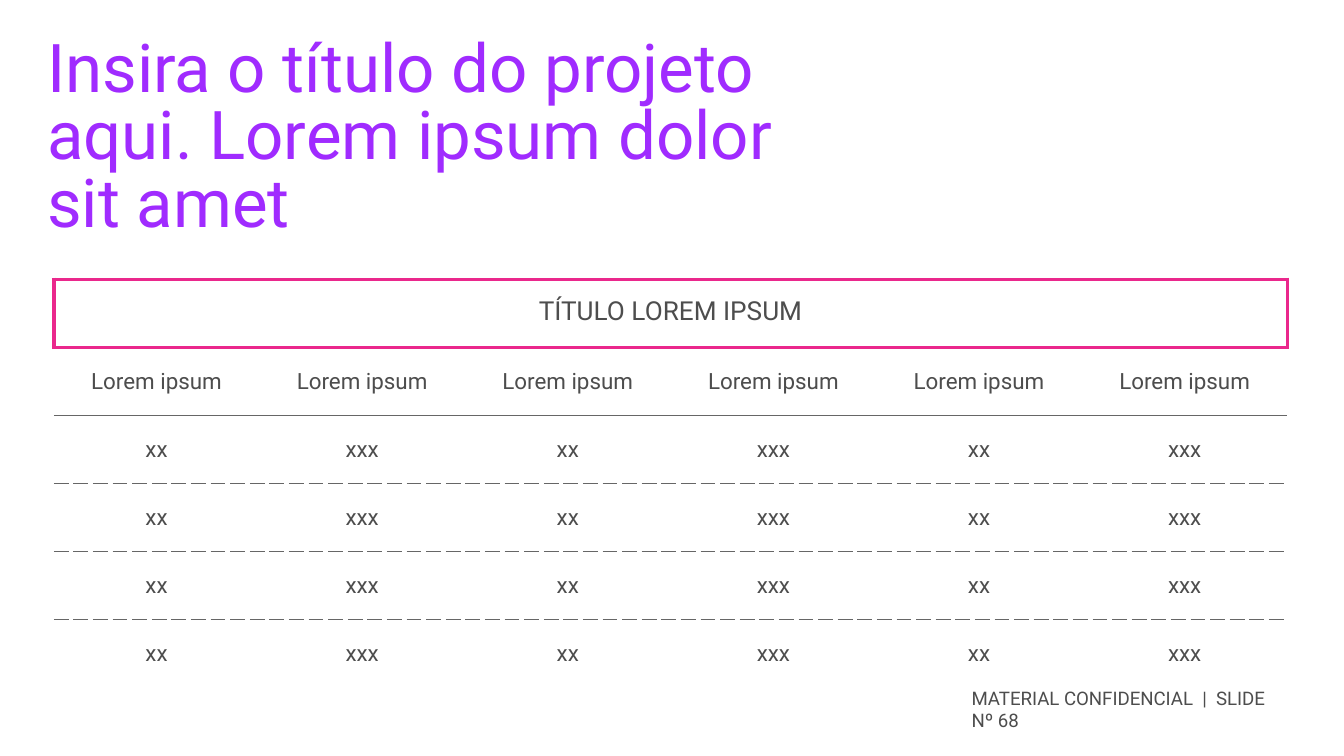
from lxml.etree import SubElement
from pptx import Presentation
from pptx.dml.color import RGBColor
from pptx.enum.text import MSO_ANCHOR, PP_ALIGN
from pptx.oxml.ns import qn
from pptx.util import Inches, Pt

COLORS = {"title": "A02BFF", "text": "4D4D4D", "frame": "EA288C", "rule": "666666"}
FRAME = ("frame", 2.25, "solid")
SOLID = ("rule", 0.5, "solid")
DASHED = ("rule", 0.5, "dash")
ROWS, COLS = 6, 6


def set_text(tf, text, size, color, align=PP_ALIGN.LEFT, spacing=None):
    tf.word_wrap = True
    p = tf.paragraphs[0]
    p.alignment = align
    p.line_spacing = spacing
    r = p.add_run()
    r.text = text
    for name, value in {"name": "Roboto", "size": Pt(size), "bold": False}.items():
        setattr(r.font, name, value)
    r.font.color.rgb = RGBColor.from_string(COLORS[color])


def add_border(cell, side, style):
    """Draw one side (L, R, T or B) of a cell; a style of None hides it."""
    ln = SubElement(cell._tc.get_or_add_tcPr(), qn(f"a:ln{side}"))
    if style is None:
        SubElement(ln, qn("a:noFill"))
        return
    color, width, dash = style
    ln.set("w", str(Pt(width)))
    fill = SubElement(ln, qn("a:solidFill"))
    SubElement(fill, qn("a:srgbClr")).set("val", COLORS[color])
    SubElement(ln, qn("a:prstDash")).set("val", dash)


prs = Presentation()
prs.slide_width, prs.slide_height = Inches(10), Inches(10 * 9 / 16)
s = prs.slides.add_slide(prs.slide_layouts[5])

# Table: a framed heading, column names and four rows of values
frame = s.shapes.add_table(ROWS, COLS, Inches(0.4), Inches(2.08), Inches(9.18), Inches(3.04))
table = frame.table
for flag in ("first_row", "horz_banding"):
    setattr(table, flag, False)
for col in table.columns:
    col.width = Inches(1.53)
for row in table.rows:
    row.height = Inches(3.04 / ROWS)
table.cell(0, 0).merge(table.cell(0, COLS - 1))

# One rule above each row, and none below the last
rules = [FRAME, FRAME, SOLID, DASHED, DASHED, DASHED, None]
for i in range(ROWS):
    for j in range(COLS):
        cell = table.cell(i, j)
        sides = {
            "L": FRAME if i == 0 and j == 0 else None,
            "R": FRAME if i == 0 and j in (0, COLS - 1) else None,
            "T": rules[i],
            "B": rules[i + 1],
        }
        for side, style in sides.items():
            add_border(cell, side, style)
        cell.fill.background()
        cell.vertical_anchor = MSO_ANCHOR.MIDDLE
        if cell.is_spanned:
            continue
        if i == 0:
            text, size = "TÍTULO LOREM IPSUM", 14
        else:
            text, size = "Lorem ipsum" if i == 1 else ("xx", "xxx")[j % 2], 12
        set_text(cell.text_frame, text, size, "text", PP_ALIGN.CENTER, Pt(14))

# Title and footer
title = s.shapes.title
title.left, title.top, title.width, title.height = map(Inches, (0.35, 0.29, 5.65, 2.13))
footer = s.shapes.add_textbox(Inches(7.23), Inches(5.11), Inches(2.33), Inches(0.3))
for sp in (title, footer):
    tf = sp.text_frame
    tf.vertical_anchor = MSO_ANCHOR.TOP
    for side in ("left", "right", "top", "bottom"):
        setattr(tf, f"margin_{side}", 0)
set_text(title.text_frame, "Insira o título do projeto aqui. Lorem ipsum dolor sit amet",
         36, "title", spacing=Pt(36))
set_text(footer.text_frame, "MATERIAL CONFIDENCIAL  |  SLIDE Nº 68", 10, "text")

prs.save("out.pptx")
